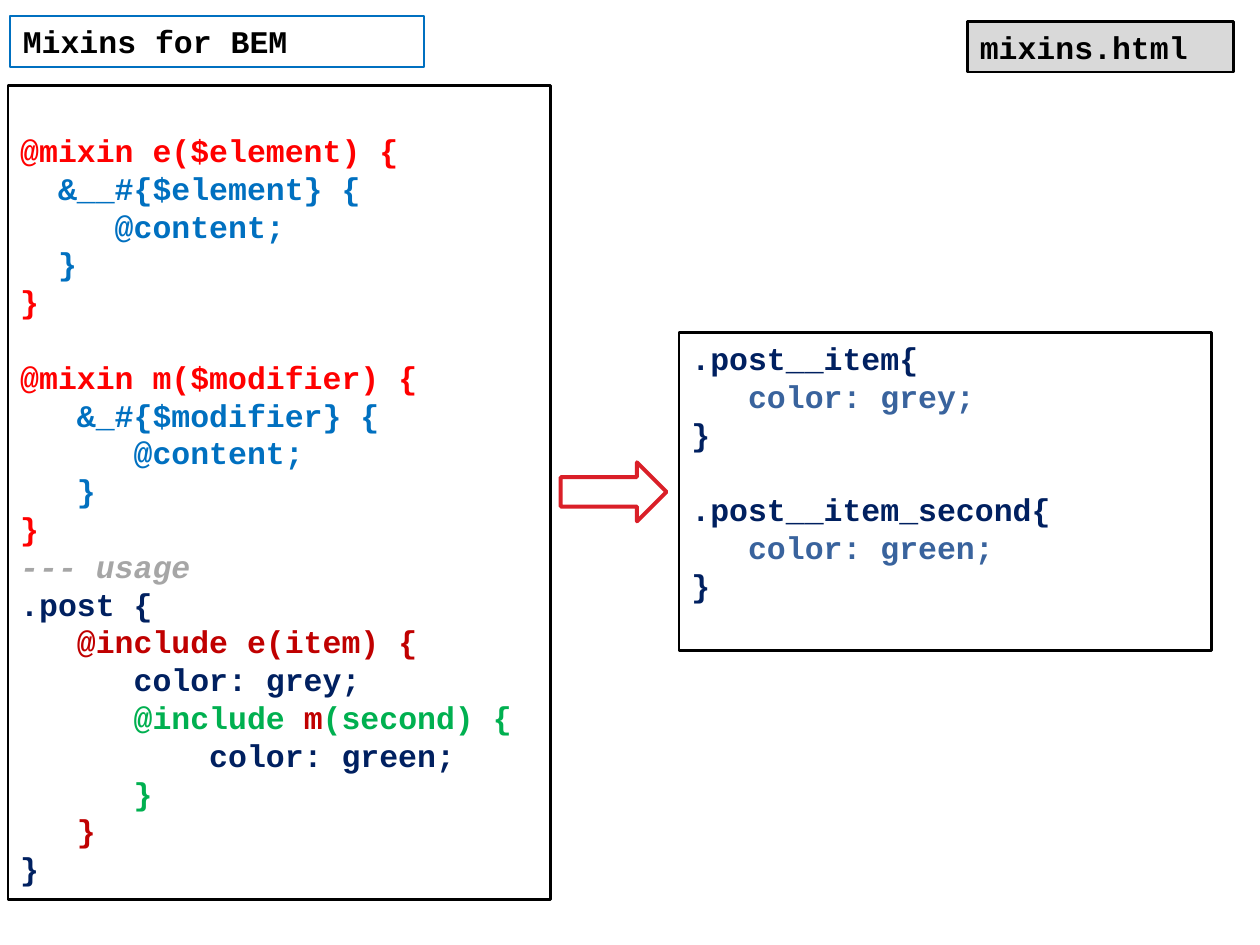
from dataclasses import dataclass

from pptx import Presentation
from pptx.dml.color import RGBColor
from pptx.enum import shapes, text
from pptx.util import Pt


@dataclass(frozen=True)
class Theme:
    font: str = "Courier New"
    size: float = 18
    leading: float = 21.6
    character: float = 10.8
    border: float = 1.5
    arrow_border: float = 2.25
    black: str = "000000"
    red: str = "FF0000"
    blue: str = "0070C0"
    navy: str = "002060"
    steel: str = "39639D"
    crimson: str = "C00000"
    green: str = "00B050"
    grey: str = "A6A6A6"
    panel: str = "D9D9D9"
    arrow: str = "DA1F28"


@dataclass(frozen=True)
class Line:
    indent: int
    spans: tuple
    gap: bool = False
    italic: bool = False


class Page:
    def __init__(self, deck, theme):
        self.theme = theme
        self.slide = deck.slides.add_slide(deck.slide_layouts[5])

    def outline(self, shape, color, width, fill=None):
        if fill:
            shape.fill.solid()
            shape.fill.fore_color.rgb = RGBColor.from_string(fill)
        else:
            shape.fill.background()
        shape.line.color.rgb = RGBColor.from_string(color)
        shape.line.width = Pt(width)

    def add_lines(self, box, lines, top=3.6):
        frame = box.text_frame
        frame.word_wrap = True
        frame.auto_size = text.MSO_AUTO_SIZE.NONE
        frame.vertical_anchor = text.MSO_ANCHOR.TOP
        frame.margin_left = frame.margin_right = Pt(7.2)
        frame.margin_top, frame.margin_bottom = Pt(top), Pt(3.6)
        for number, line in enumerate(lines):
            para = frame.add_paragraph() if number else frame.paragraphs[0]
            para.alignment = text.PP_ALIGN.LEFT
            para.line_spacing = Pt(self.theme.leading)
            para.space_before = Pt(self.theme.leading if line.gap else 0)
            margin = Pt(line.indent * self.theme.character)
            para._p.get_or_add_pPr().set("marL", str(margin))
            for words, color in line.spans:
                span = para.add_run()
                span.text = words
                span.font.name = self.theme.font
                span.font.size = Pt(self.theme.size)
                span.font.bold = True
                span.font.italic = line.italic
                span.font.color.rgb = RGBColor.from_string(color)

    def title(self, words, left, top, width, height):
        box = self.slide.shapes.title
        box.left, box.top, box.width, box.height = map(Pt, (left, top, width, height))
        self.outline(box, self.theme.blue, self.theme.border)
        self.add_lines(box, [Line(0, ((words, self.theme.black),))])

    def code(self, lines, left, top, width, height, inset=3.6, fill=None):
        box = self.slide.shapes.add_textbox(*map(Pt, (left, top, width, height)))
        self.outline(box, self.theme.black, self.theme.border, fill)
        self.add_lines(box, lines, inset)

    def arrow(self, left, top, width, height):
        arrow = self.slide.shapes.add_shape(
            shapes.MSO_SHAPE.RIGHT_ARROW, *map(Pt, (left, top, width, height)))
        arrow.shadow.inherit = False
        self.outline(arrow, self.theme.arrow, self.theme.arrow_border)


def main():
    theme = Theme()
    deck = Presentation()
    deck.slide_width, deck.slide_height = Pt(720), Pt(540)
    page = Page(deck, theme)

    source = [
        Line(0, (("@mixin e($element) {", theme.red),)),
        Line(2, (("&__#{$element} {", theme.blue),)),
        Line(5, (("@content;", theme.blue),)),
        Line(2, (("}", theme.blue),)),
        Line(0, (("}", theme.red),)),
        Line(0, (("@mixin m($modifier) {", theme.red),), gap=True),
        Line(3, (("&_#{$modifier} {", theme.blue),)),
        Line(6, (("@content;", theme.blue),)),
        Line(3, (("}", theme.blue),)),
        Line(0, (("}", theme.red),)),
        Line(0, (("--- usage", theme.grey),), italic=True),
        Line(0, ((".post {", theme.navy),)),
        Line(3, (("@include e(item) {", theme.crimson),)),
        Line(6, (("color: grey;", theme.navy),)),
        Line(6, (("@include ", theme.green), ("m", theme.crimson),
                 ("(second) {", theme.green))),
        Line(10, (("color: green;", theme.navy),)),
        Line(6, (("}", theme.green),)),
        Line(3, (("}", theme.crimson),)),
        Line(0, (("}", theme.navy),)),
    ]
    result = [
        Line(0, ((".post__item{", theme.navy),)),
        Line(3, (("color: grey;", theme.steel),)),
        Line(0, (("}", theme.navy),)),
        Line(0, ((".post__item_second{", theme.navy),), gap=True),
        Line(3, (("color: green;", theme.steel),)),
        Line(0, (("}", theme.navy),)),
    ]

    page.title("Mixins for BEM", 5.8, 9.2, 236.5, 29)
    page.code(source, 4.5, 48.8, 310, 465.2, inset=26)
    page.code([Line(0, (("mixins.html", theme.black),))],
              552.8, 12.2, 152, 29, fill=theme.panel)
    page.code(result, 388, 190.2, 304.5, 181.6)
    page.arrow(320.4, 264.2, 60.5, 33.8)
    deck.save("out.pptx")


if __name__ == "__main__":
    main()
